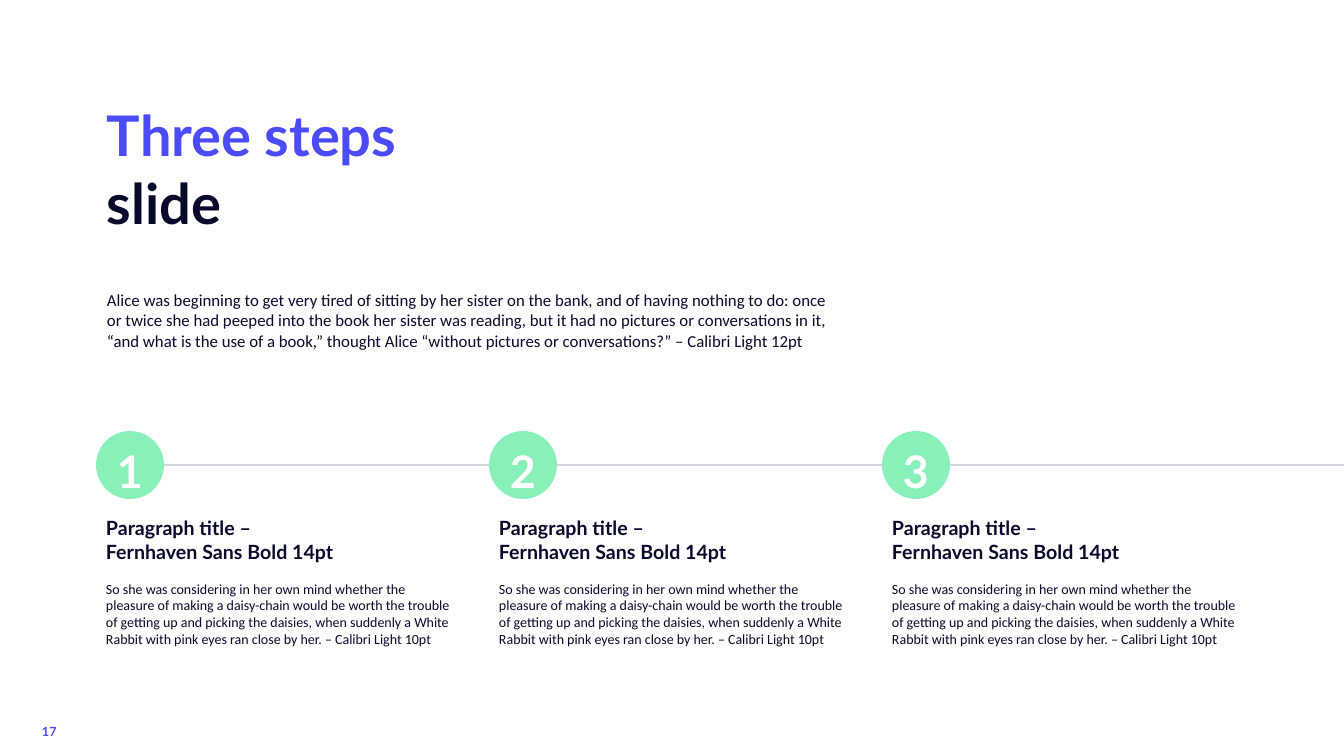
from lxml import etree
from pptx import Presentation
from pptx.dml.color import RGBColor
from pptx.enum.shapes import MSO_CONNECTOR, MSO_SHAPE
from pptx.enum.text import MSO_ANCHOR, MSO_AUTO_SIZE, PP_ALIGN
from pptx.oxml.ns import qn
from pptx.util import Pt

PX = 12192000 / 1344
NAVY, VIOLET, MINT, GREY, WHITE = "09092C", "4B4BF9", "8AF0BA", "D6D6E3", "FFFFFF"


def colour(hex_value):
    return RGBColor.from_string(hex_value)


def write(shape, lines, size, font, bold=False, align=PP_ALIGN.LEFT,
          anchor=MSO_ANCHOR.TOP, insets=(10, 5, 10, 5)):
    frame = shape.text_frame
    frame.word_wrap = True
    frame.auto_size = MSO_AUTO_SIZE.NONE
    frame.vertical_anchor = anchor
    (frame.margin_left, frame.margin_top,
     frame.margin_right, frame.margin_bottom) = [round(inset * PX) for inset in insets]
    paragraph = frame.paragraphs[0]
    paragraph.alignment = align
    paragraph.line_spacing = 1.0
    for index, (text, hex_value) in enumerate(lines):
        if index:
            paragraph.add_line_break()
        run = paragraph.add_run()
        run.text = text
        run.font.size = Pt(size)
        run.font.name = font
        run.font.bold = bold
        run.font.color.rgb = colour(hex_value)


prs = Presentation()
prs.slide_width, prs.slide_height = round(1344 * PX), round(756 * PX)
slide = prs.slides.add_slide(prs.slide_layouts[5])
shapes = slide.shapes

heading = shapes.title
heading.left, heading.top, heading.width, heading.height = [
    round(length * PX) for length in (97, 96, 559, 214)]
write(heading, [("Three steps", VIOLET), ("slide", NAVY)], 40, "Lato", bold=True)

page_number = shapes.add_textbox(*[round(length * PX) for length in (37, 719, 40, 24)])
write(page_number, [("17", VIOLET)], 9, "Lato", bold=True, insets=(5, 5, 5, 5))

intro = shapes.add_textbox(*[round(length * PX) for length in (97, 285, 758, 71)])
intro_text = (
    "Alice was beginning to get very tired of sitting by her sister on the bank, "
    "and of having nothing to do: once or twice she had peeped into the book her "
    "sister was reading, but it had no pictures or conversations in it, “and what "
    "is the use of a book,” thought Alice “without pictures or conversations?” "
    "– Calibri Light 12pt")
write(intro, [(intro_text, NAVY)], 12, "Calibri")

timeline = shapes.add_connector(
    MSO_CONNECTOR.STRAIGHT, *[round(length * PX) for length in (122, 465, 1344, 465)])
timeline.line.color.rgb = colour(GREY)
timeline.line.width = Pt(1)
etree.SubElement(timeline._element.spPr, qn("a:effectLst"))

step_text = (
    "So she was considering in her own mind whether the pleasure of making a "
    "daisy-chain would be worth the trouble of getting up and picking the daisies, "
    "when suddenly a White Rabbit with pink eyes ran close by her. "
    "– Calibri Light 10pt")

for step in range(3):
    left = 96 + 393 * step
    badge = shapes.add_shape(
        MSO_SHAPE.OVAL, *[round(length * PX) for length in (left, 431, 68, 68)])
    badge.shadow.inherit = False
    badge.fill.solid()
    badge.fill.fore_color.rgb = colour(MINT)
    badge.line.fill.background()
    write(badge, [(str(step + 1), WHITE)], 32, "Lato", bold=True,
          align=PP_ALIGN.CENTER, anchor=MSO_ANCHOR.MIDDLE, insets=(10, 16, 10, 4))

    step_title = shapes.add_textbox(
        *[round(length * PX) for length in (left, 511, 365, 57)])
    write(step_title, [("Paragraph title –", NAVY), ("Fernhaven Sans Bold 14pt", NAVY)],
          14, "Lato", bold=True)

    step_body = shapes.add_textbox(
        *[round(length * PX) for length in (left, 575, 365, 78)])
    write(step_body, [(step_text, NAVY)], 10, "Calibri")

prs.save("out.pptx")
